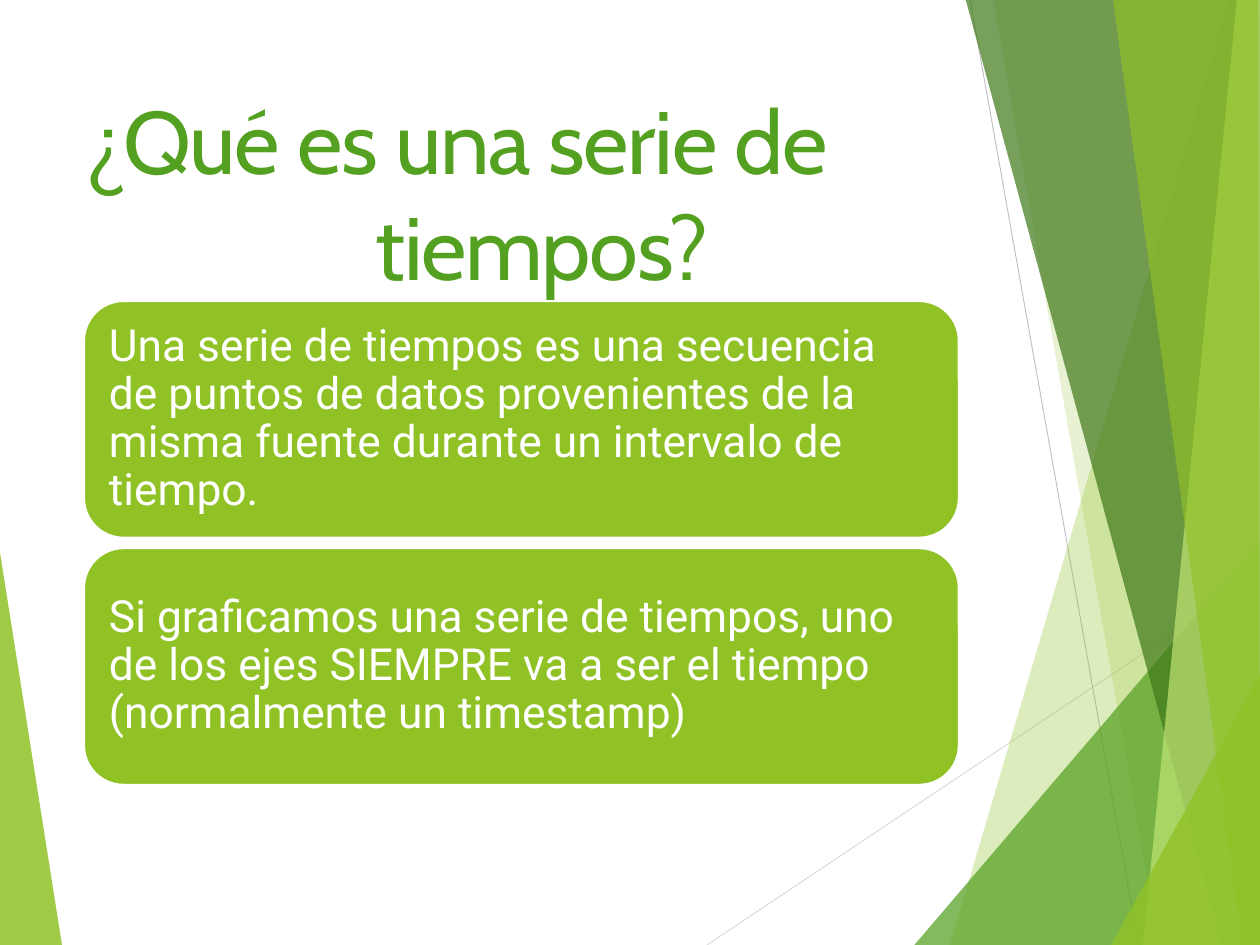
from dataclasses import dataclass

from lxml import etree
from pptx import Presentation
from pptx import util as u
from pptx.dml.color import RGBColor
from pptx.enum import shapes, text
from pptx.oxml import ns


@dataclass(frozen=True)
class Theme:
    lime: str = "90C226"
    pale: str = "C0E474"
    green: str = "54A021"
    forest: str = "3F7819"
    white: str = "FFFFFF"
    light_gray: str = "D9D9D9"
    gray: str = "BFBFBF"
    title_font: str = "Cabin"
    body_font: str = "Roboto"
    title_size: int = 72
    body_size: int = 36


THEME = Theme()
WIDTH, HEIGHT = u.Inches(14.22), u.Inches(10.67)

LEFT_SHARD = (THEME.lime, 85, [(0, 58.48), (4.92, 100), (0, 100)])
RAYS = [
    (THEME.light_gray, (56.12, 100), (100, 60.9)),
    (THEME.gray, (77, 0), (90.37, 100)),
]
RIGHT_SHARDS = [
    (THEME.lime, 30, [(97.54, 0), (75.39, 100), (100, 100), (100, 0)]),
    (THEME.lime, 20, [(78.83, 0), (91.98, 100), (100, 100), (100, 0)]),
    (THEME.green, 72, [(72.57, 100), (100, 57.17), (100, 100)]),
    (THEME.forest, 70, [(76.65, 0), (96.98, 100), (100, 100), (100, 0)]),
    (THEME.pale, 70, [(98.17, 0), (90.72, 100), (100, 100), (100, 0)]),
    (THEME.lime, 65, [(88.33, 0), (98.59, 100), (100, 100), (99.86, 0)]),
    (THEME.lime, 80, [(88.19, 100), (100, 71.32), (100, 100)]),
]

TITLE = "¿Qué es una serie de tiempos?"
CARDS = [
    "Una serie de tiempos es una secuencia de puntos de datos provenientes "
    "de la misma fuente durante un intervalo de tiempo.",
    "Si graficamos una serie de tiempos, uno de los ejes SIEMPRE va a ser "
    "el tiempo (normalmente un timestamp)",
]


def place(box, point):
    left, top, width, height = box
    return round(left + width * point[0] / 100), round(top + height * point[1] / 100)


def part(box, left, top, width, height):
    x, y = place(box, (left, top))
    return x, y, round(box[2] * width / 100), round(box[3] * height / 100)


def paint(shape, color):
    shape.shadow.inherit = False
    shape.fill.solid()
    shape.fill.fore_color.rgb = RGBColor.from_string(color)


def style_text(paragraph, font_name, size, color):
    paragraph.alignment = text.PP_ALIGN.LEFT
    paragraph.font.name = font_name
    paragraph.font.size = u.Pt(size)
    paragraph.font.color.rgb = RGBColor.from_string(color)


def add_shard(slide, box, color, opacity, outline):
    corners = [place(box, point) for point in outline]
    builder = slide.shapes.build_freeform(*corners[0], scale=1.0)
    builder.add_line_segments(corners[1:], close=True)
    shard = builder.convert_to_shape()
    paint(shard, color)
    shard.line.fill.background()
    color_node = next(shard.fill._xPr.iter(ns.qn("a:srgbClr")))
    etree.SubElement(color_node, ns.qn("a:alpha")).set("val", str(opacity * 1000))


def add_ray(slide, box, color, start, end):
    ray = slide.shapes.add_connector(
        shapes.MSO_CONNECTOR.STRAIGHT, *place(box, start), *place(box, end)
    )
    ray.line.color.rgb = RGBColor.from_string(color)
    ray.line.width = u.Pt(0.75)
    etree.SubElement(ray._element.spPr, ns.qn("a:effectLst"))


def add_backdrop(slide, box):
    add_shard(slide, box, *LEFT_SHARD)
    for ray in RAYS:
        add_ray(slide, box, *ray)
    for shard in RIGHT_SHARDS:
        add_shard(slide, box, *shard)


def add_title(slide, box):
    title = slide.shapes.title
    title.left, title.top, title.width, title.height = box
    frame = title.text_frame
    frame.text = TITLE
    frame.word_wrap = True
    frame.auto_size = text.MSO_AUTO_SIZE.NONE
    frame.vertical_anchor = text.MSO_ANCHOR.TOP
    frame.margin_left = frame.margin_right = frame.margin_bottom = 0
    frame.margin_top = u.Inches(0.02)
    paragraph = frame.paragraphs[0]
    style_text(paragraph, THEME.title_font, THEME.title_size, THEME.green)
    paragraph.space_before = u.Pt(1)
    properties = paragraph._p.get_or_add_pPr()
    properties.set("marL", str(u.Inches(3.29)))
    properties.set("indent", str(u.Inches(-3.28)))
    paragraph.runs[0]._r.get_or_add_rPr().set("spc", "-110")


def add_card(slide, box, wording):
    card = slide.shapes.add_shape(shapes.MSO_SHAPE.ROUNDED_RECTANGLE, *box)
    paint(card, THEME.lime)
    card.line.color.rgb = RGBColor.from_string(THEME.white)
    card.line.width = u.Pt(1.5)
    frame = card.text_frame
    frame.text = wording
    frame.word_wrap = True
    frame.vertical_anchor = text.MSO_ANCHOR.MIDDLE
    frame.margin_left = frame.margin_right = u.Inches(0.15)
    frame.margin_top = frame.margin_bottom = u.Inches(0.15)
    paragraph = frame.paragraphs[0]
    style_text(paragraph, THEME.body_font, THEME.body_size, THEME.white)
    paragraph.line_spacing = 0.9


def add_cards(slide, box, gap=2.2):
    height = (100 - gap * (len(CARDS) - 1)) / len(CARDS)
    for index, wording in enumerate(CARDS):
        add_card(slide, part(box, 0, index * (height + gap), 100, height), wording)


def main():
    presentation = Presentation()
    presentation.slide_width, presentation.slide_height = WIDTH, HEIGHT
    slide = presentation.slides.add_slide(presentation.slide_layouts[5])
    page = (0, 0, WIDTH, HEIGHT)
    add_backdrop(slide, page)
    add_title(slide, part(page, 6.68, 8.9, 69.41, 19.21))
    add_cards(slide, part(page, 6.68, 31.87, 69.41, 51.17))
    presentation.save("out.pptx")


if __name__ == "__main__":
    main()
